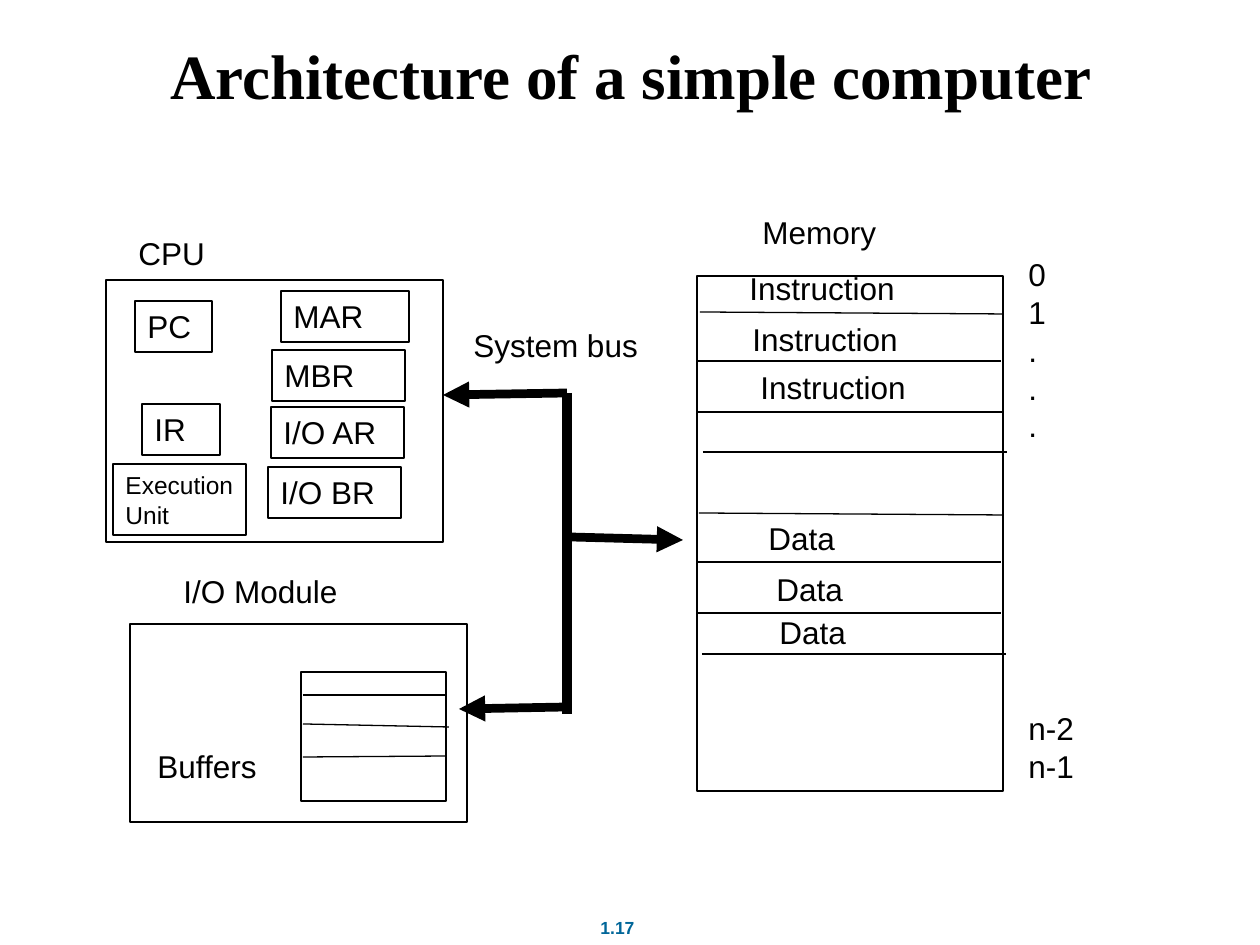
import pptx
import pptx.dml.color
import pptx.enum.shapes
import pptx.enum.text
import pptx.oxml.ns
import pptx.util
from lxml import etree

EMU_PER_PX = 914400 / 126
LINE_FACTOR = 1.2
ALIGN = pptx.enum.text.PP_ALIGN
ANCHOR = pptx.enum.text.MSO_ANCHOR


def px(length):
    return pptx.util.Emu(round(length * EMU_PER_PX))


def color(hex_string):
    return pptx.dml.color.RGBColor.from_string(hex_string)


def apply(target, values):
    for name, value in values.items():
        setattr(target, name, value)


class Diagram:
    ink = "000000"
    thin = 0.75
    body_font = "Arial"
    title_font = "Times New Roman"

    def __init__(self, slide):
        self.slide = slide

    def set_text(self, shape, text, size=18, font=body_font, hex_string=ink,
                 bold=False, align=ALIGN.LEFT, anchor=ANCHOR.TOP, wrap=False):
        frame = shape.text_frame
        frame.text = text
        apply(frame, {"word_wrap": wrap, "vertical_anchor": anchor,
                      "auto_size": pptx.enum.text.MSO_AUTO_SIZE.NONE})
        for paragraph in frame.paragraphs:
            apply(paragraph, {"alignment": align,
                              "line_spacing": pptx.util.Pt(size * LINE_FACTOR)})
            for run in paragraph.runs:
                apply(run.font, {"name": font, "size": pptx.util.Pt(size), "bold": bold})
                run.font.color.rgb = color(hex_string)

    def title(self, text, left, top, width, height):
        shape = self.slide.shapes.title
        apply(shape, {"left": px(left), "top": px(top),
                      "width": px(width), "height": px(height)})
        self.set_text(shape, text, size=36, font=self.title_font, bold=True,
                      align=ALIGN.CENTER, anchor=ANCHOR.BOTTOM, wrap=True)
        shape.text_frame.paragraphs[0].line_spacing = 1.0

    def label(self, text, left, top, width, height=50, **style):
        shape = self.slide.shapes.add_textbox(px(left), px(top), px(width), px(height))
        self.set_text(shape, text, **style)
        return shape

    def box(self, left, top, width, height, text="", **style):
        shape = self.slide.shapes.add_shape(
            pptx.enum.shapes.MSO_SHAPE.RECTANGLE,
            px(left), px(top), px(width), px(height))
        shape.shadow.inherit = False
        shape.fill.background()
        shape.line.color.rgb = color(self.ink)
        shape.line.width = pptx.util.Pt(self.thin)
        if text:
            self.set_text(shape, text, **style)

    def line(self, start, end, weight=thin, arrow=False):
        connector = self.slide.shapes.add_connector(
            pptx.enum.shapes.MSO_CONNECTOR.STRAIGHT, *map(px, start + end))
        connector.line.color.rgb = color(self.ink)
        connector.line.width = pptx.util.Pt(weight)
        properties = connector.element.spPr
        if arrow:
            outline = properties.find(pptx.oxml.ns.qn("a:ln"))
            etree.SubElement(outline, pptx.oxml.ns.qn("a:tailEnd"), type="triangle")
        etree.SubElement(properties, pptx.oxml.ns.qn("a:effectLst"))


def draw_memory(diagram):
    diagram.label("Memory", 750, 207, 139)
    diagram.box(697, 276, 306, 515)
    dividers = [(700, 312, 2), (697, 361, 0), (698, 412, 0), (703, 452, 0),
                (699, 513, 2), (697, 562, 0), (697, 613, 0), (702, 654, 0)]
    for left, top, drop in dividers:
        diagram.line((left, top), (left + 304, top + drop))
    for left, top in [(737, 263), (740, 314), (748, 362)]:
        diagram.label("Instruction", left, top, 170)
    for left, top in [(756, 513), (764, 564), (767, 607)]:
        diagram.label("Data", left, top, 92)
    addresses = diagram.label("0\n1\n.\n.\n.\nn-2\nn-1", 1016, 249, 71, 617)
    skipped_rows = 7
    addresses.text_frame.paragraphs[5].space_before = pptx.util.Pt(
        skipped_rows * 18 * LINE_FACTOR)


def draw_cpu(diagram):
    diagram.label("CPU", 126, 228, 92)
    diagram.box(106, 280, 337, 262)
    registers = [("PC", 135, 301, 77), ("IR", 142, 404, 78),
                 ("MAR", 281, 291, 128), ("MBR", 272, 350, 133),
                 ("I/O AR", 271, 407, 133), ("I/O BR", 268, 467, 133)]
    for name, left, top, width in registers:
        diagram.box(left, top, width, 51, name, wrap=True)
    diagram.box(113, 464, 133, 71, "Execution\nUnit", size=14)


def draw_io_module(diagram):
    diagram.label("I/O Module", 171, 566, 179)
    diagram.box(130, 624, 337, 198)
    diagram.label("Buffers", 145, 741, 125)
    diagram.box(301, 672, 145, 129)
    for start_y, end_x, end_y in [(695, 447, 695), (724, 449, 727), (757, 446, 756)]:
        diagram.line((303, start_y), (end_x, end_y))


def draw_system_bus(diagram):
    diagram.label("System bus", 461, 320, 189)
    diagram.line((567, 393), (567, 714), weight=5.5)
    branches = [((567, 393), (443, 395)), ((566, 707), (459, 709)),
                ((571, 537), (683, 540))]
    for start, end in branches:
        diagram.line(start, end, weight=5, arrow=True)


def main():
    presentation = pptx.Presentation()
    apply(presentation, {"slide_width": px(1260), "slide_height": px(945)})
    slide = presentation.slides.add_slide(presentation.slide_layouts[5])
    diagram = Diagram(slide)
    diagram.title("Architecture of a simple computer", 40, 37, 1182, 81)
    draw_memory(diagram)
    draw_cpu(diagram)
    draw_io_module(diagram)
    draw_system_bus(diagram)
    diagram.label("1.17", 556, 911, 123, 34, size=10, hex_string="006699",
                  bold=True, align=ALIGN.CENTER)
    presentation.save("out.pptx")


if __name__ == "__main__":
    main()
